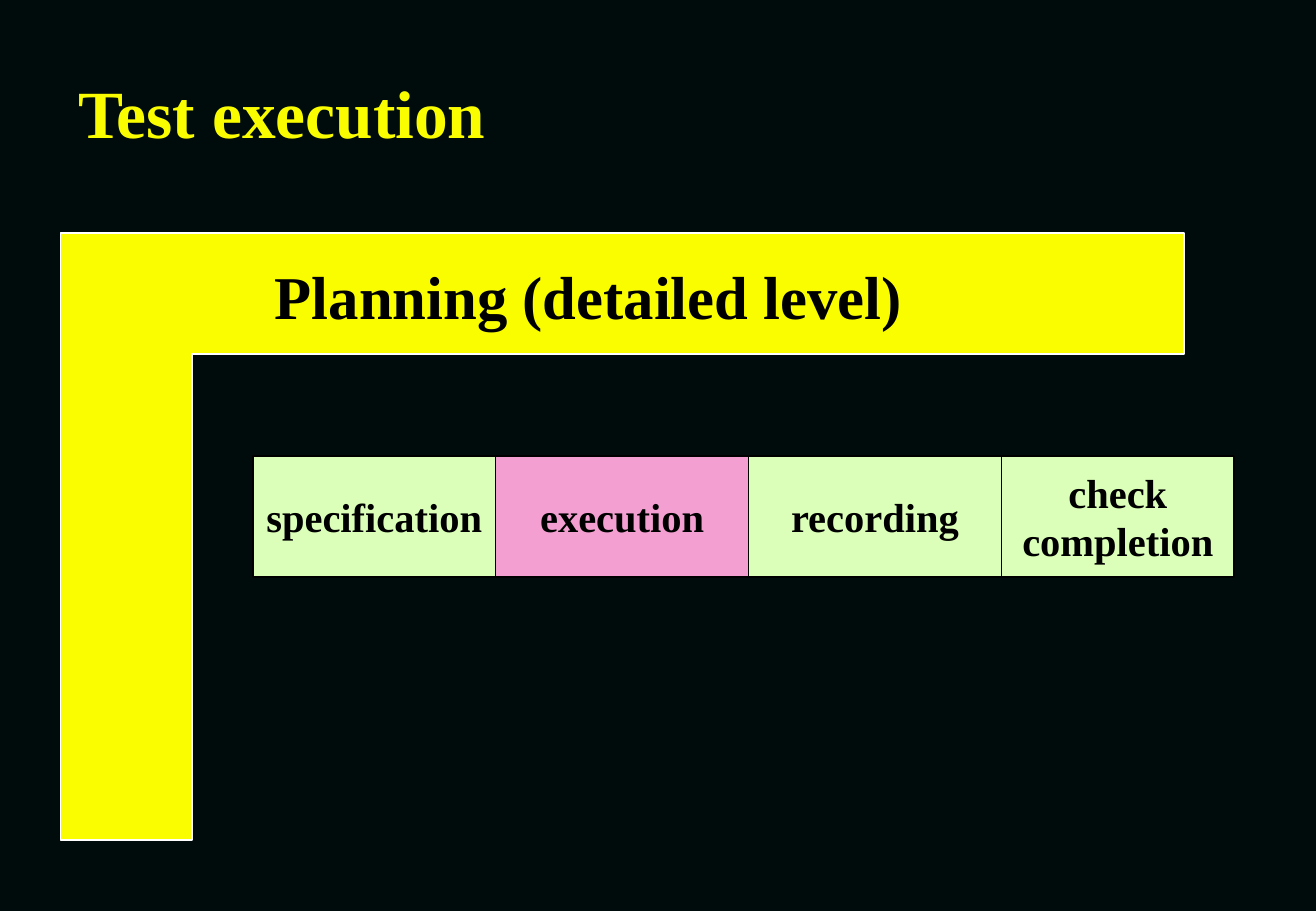
from pptx import Presentation
from pptx.dml.color import RGBColor
from pptx.enum.shapes import MSO_SHAPE
from pptx.enum.text import MSO_ANCHOR, MSO_AUTO_SIZE, PP_ALIGN
from pptx.util import Cm, Pt

HUES = {
    "night": "000C0B",
    "yellow": "FAFD00",
    "green": "DBFFB8",
    "pink": "F39FD1",
    "black": "000000",
    "white": "FFFFFF",
}
FACE = "Times New Roman"


def hue(name):
    return RGBColor.from_string(HUES[name])


def write(frame, text, size, color="black", align=PP_ALIGN.LEFT,
          anchor=MSO_ANCHOR.MIDDLE, wrap=False):
    frame.auto_size = MSO_AUTO_SIZE.NONE
    frame.word_wrap = wrap
    frame.vertical_anchor = anchor
    frame.text = text
    for para in frame.paragraphs:
        para.alignment = align
        font = para.font
        font.name, font.size, font.bold = FACE, Pt(size), True
        font.color.rgb = hue(color)


class Board:
    def __init__(self, slide):
        self.slide = slide
        self.shapes = slide.shapes
        fill = slide.background.fill
        fill.solid()
        fill.fore_color.rgb = hue("night")

    def paint(self, shape, fill, line):
        shape.shadow.inherit = False
        shape.fill.solid()
        shape.fill.fore_color.rgb = hue(fill)
        shape.line.color.rgb = hue(line)
        shape.line.width = Pt(1)

    def title(self, text, left, top, width, height):
        head = self.shapes.title
        head.left, head.top = Cm(left), Cm(top)
        head.width, head.height = Cm(width), Cm(height)
        write(head.text_frame, text, 40, color="yellow", wrap=True)

    def box(self, text, left, top, width, height, fill):
        shape = self.shapes.add_shape(
            MSO_SHAPE.RECTANGLE, Cm(left), Cm(top), Cm(width), Cm(height))
        self.paint(shape, fill, "black")
        write(shape.text_frame, text, 24, align=PP_ALIGN.CENTER)

    def outline(self, points, fill, line):
        spots = [(Cm(x), Cm(y)) for x, y in points]
        pen = self.shapes.build_freeform(*spots[0])
        pen.add_line_segments(spots[1:], close=True)
        self.paint(pen.convert_to_shape(), fill, line)

    def label(self, text, left, top, width, height):
        shape = self.shapes.add_textbox(
            Cm(left), Cm(top), Cm(width), Cm(height))
        write(shape.text_frame, text, 36, anchor=MSO_ANCHOR.TOP)


def main():
    deck = Presentation()
    deck.slide_width, deck.slide_height = Cm(27.53), Cm(19.05)
    board = Board(deck.slides.add_slide(deck.slide_layouts[5]))

    board.title("Test execution", 1.38, 1.48, 23.39, 1.69)

    steps = [
        ("specification", 5.08, "green"),
        ("execution", 5.29, "pink"),
        ("recording", 5.29, "green"),
        ("check\ncompletion", 4.87, "green"),
    ]
    left = 5.29
    for text, width, fill in steps:
        board.box(text, left, 9.53, width, 2.54, fill)
        left += width

    west, inner, east = 1.27, 4.02, 24.77
    top, under, foot = 4.87, 7.41, 17.57
    board.outline([(west, top), (east, top), (east, under),
                   (inner, under), (inner, foot), (west, foot)],
                  "yellow", "white")
    board.label("Planning (detailed level)", 5.5, 5.29, 13.61, 1.78)

    deck.save("out.pptx")


if __name__ == "__main__":
    main()
